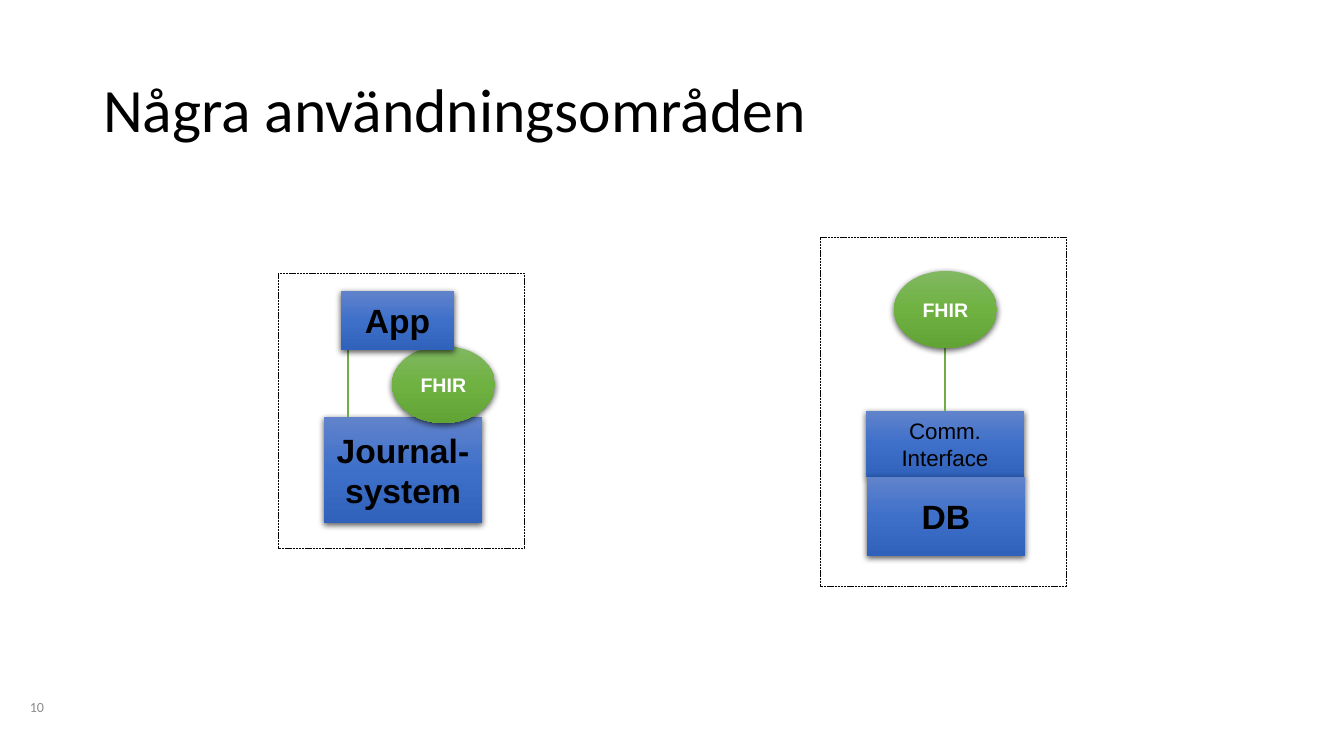
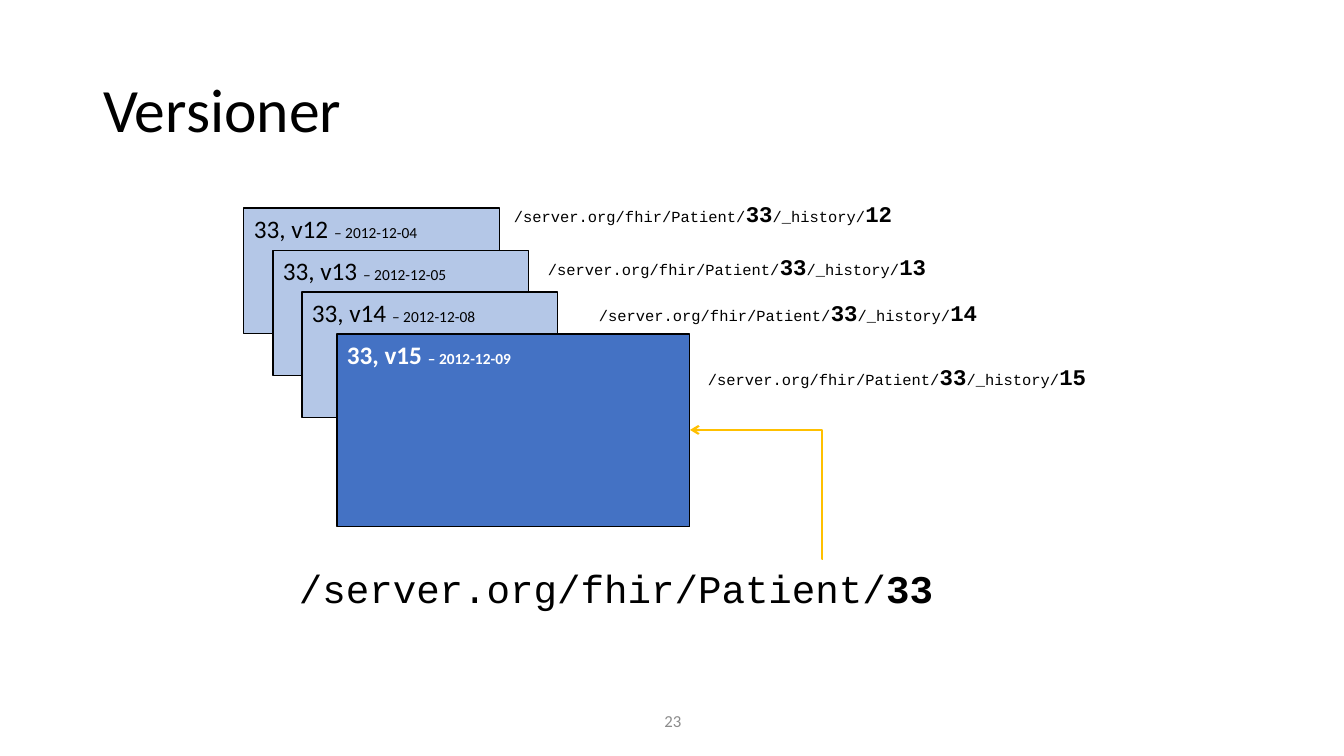
import pptx
import pptx.dml.color
import pptx.enum.dml
import pptx.enum.shapes
import pptx.enum.text
import pptx.oxml.ns
import pptx.util
from lxml import etree

EMU_PER_PX = 914400 / 100.8
COLORS = {
    "text": "000000",
    "light_text": "FFFFFF",
    "page_number": "8C8C8C",
    "green_line": "70AD47",
    "old_version": "B4C7E7",
    "current_version": "4472C4",
    "arrow": "FFC000",
}
GRADIENTS = {
    "blue": ("6183CB", "3E70CA", "3062BB"),
    "green": ("81B861", "6FB242", "62A336"),
}
SHAPES = pptx.enum.shapes.MSO_SHAPE
CONNECTORS = pptx.enum.shapes.MSO_CONNECTOR
ALIGN = pptx.enum.text.PP_ALIGN
ANCHOR = pptx.enum.text.MSO_ANCHOR
qn = pptx.oxml.ns.qn


def px(*lengths):
    return [pptx.util.Emu(round(length * EMU_PER_PX)) for length in lengths]


def rgb(name):
    return pptx.dml.color.RGBColor.from_string(COLORS[name])


def add_xml(parent, tag, **attributes):
    return etree.SubElement(parent, qn(tag), attributes)


def write(frame, *lines, size=18, font="Calibri", color="text", bold=False,
          align=ALIGN.LEFT, anchor=ANCHOR.TOP, spacing=None):
    """Each line is a string or a list of (text, size, bold) runs."""
    frame.word_wrap = True
    frame.vertical_anchor = anchor
    for index, line in enumerate(lines):
        paragraph = frame.add_paragraph() if index else frame.paragraphs[0]
        paragraph.alignment = align
        if spacing:
            paragraph.line_spacing = spacing
        runs = [(line, size, bold)] if isinstance(line, str) else line
        for text, run_size, run_bold in runs:
            run = paragraph.add_run()
            run.text = text
            run.font.size = pptx.util.Pt(run_size)
            run.font.name = font
            run.font.bold = run_bold
            run.font.color.rgb = rgb(color)


def add_text(slide, box, *lines, **text_format):
    write(slide.shapes.add_textbox(*px(*box)).text_frame, *lines, **text_format)


def add_slide(deck, title, number, number_box, **number_format):
    slide = deck.slides.add_slide(deck.slide_layouts[5])
    heading = slide.shapes.title
    heading.left, heading.top, heading.width, heading.height = px(93, 40, 1159, 146)
    write(heading.text_frame, title, size=44, anchor=ANCHOR.MIDDLE, spacing=0.9)
    add_text(slide, number_box, number, color="page_number",
             anchor=ANCHOR.MIDDLE, **number_format)
    return slide


def add_outlined(slide, box, width, fill=None):
    rectangle = slide.shapes.add_shape(SHAPES.RECTANGLE, *px(*box))
    rectangle.shadow.inherit = False
    if fill:
        rectangle.fill.solid()
        rectangle.fill.fore_color.rgb = rgb(fill)
    else:
        rectangle.fill.background()
    rectangle.line.color.rgb = rgb("text")
    rectangle.line.width = pptx.util.Pt(width)
    return rectangle


def add_system_frame(slide, box):
    frame = add_outlined(slide, box, 0.5)
    frame.line.dash_style = pptx.enum.dml.MSO_LINE.SQUARE_DOT


def add_component(slide, box, *lines, kind=SHAPES.RECTANGLE, gradient="blue",
                  **text_format):
    """Shape with a vertical gradient, a soft shadow and centred text."""
    component = slide.shapes.add_shape(kind, *px(*box))
    component.line.fill.background()
    component.fill.gradient()
    component.fill.gradient_angle = 270
    properties = component._element.spPr
    stops = properties.find(".//" + qn("a:gsLst"))
    for stop in list(stops):
        stops.remove(stop)
    for position, color in zip((0, 50000, 100000), GRADIENTS[gradient]):
        add_xml(add_xml(stops, "a:gs", pos=str(position)), "a:srgbClr", val=color)
    component.shadow.inherit = False
    shadow = add_xml(properties.find(qn("a:effectLst")), "a:outerShdw",
                     blurRad="57150", dist="19050", dir="5400000",
                     algn="ctr", rotWithShape="0")
    add_xml(add_xml(shadow, "a:srgbClr", val="000000"), "a:alpha", val="63000")
    write(component.text_frame, *lines, font="Arial", align=ALIGN.CENTER,
          anchor=ANCHOR.MIDDLE, **text_format)


def add_fhir(slide, left, top):
    add_component(slide, (left, top, 103, 77), "FHIR", kind=SHAPES.OVAL,
                  gradient="green", size=14, color="light_text", bold=True)


def add_line(slide, start, end, color, kind=CONNECTORS.STRAIGHT):
    line = slide.shapes.add_connector(kind, *px(*start, *end))
    line.line.color.rgb = rgb(color)
    line.line.width = pptx.util.Pt(1.5)
    add_xml(line._element.spPr, "a:effectLst")
    return line


def add_journal_system(slide, left, top):
    add_component(slide, (left + 46, top + 144, 158, 106), "Journal-", "system",
                  size=24, bold=True)
    add_line(slide, (left + 70, top + 144), (left + 70, top + 73), "green_line")
    add_system_frame(slide, (left, top, 246, 275))
    add_fhir(slide, left + 114, top + 73)
    add_component(slide, (left + 63, top + 18, 113, 59), "App", size=24, bold=True)


def add_database_system(slide, left, top):
    add_system_frame(slide, (left, top, 246, 349))
    add_component(slide, (left + 46, top + 174, 158, 66), "Comm.", "Interface", size=16)
    add_component(slide, (left + 47, top + 240, 158, 79), "DB", size=24, bold=True)
    add_line(slide, (left + 125, top + 174), (left + 125, top + 111), "green_line")
    add_fhir(slide, left + 74, top + 34)


def add_version_card(slide, box, version, date, fill, color="text", bold=False):
    card = add_outlined(slide, box, 0.75, fill)
    write(card.text_frame, [(f"33, v{version} ", 18, bold), (f"– {date}", 11, bold)],
          color=color)


def add_version_stack(slide, left, top):
    for step, date in enumerate(("2012-12-04", "2012-12-05", "2012-12-08")):
        box = (left + 29 * step, top + 42 * step, 256, 126)
        add_version_card(slide, box, 12 + step, date, "old_version")
    add_version_card(slide, (left + 93, top + 126, 353, 193), 15, "2012-12-09",
                     "current_version", color="light_text", bold=True)


def add_history_addresses(slide, left, top):
    offsets = ((0, 0), (34, 53), (85, 99), (194, 163))
    for version, (across, down) in enumerate(offsets, start=12):
        add_text(slide, (left + across, top + down, 479, 37),
                 [("/server.org/fhir/Patient/", 11, False), ("33", 16, True),
                  ("/_history/", 11, False), (str(version), 16, True)],
                 font="Courier New")


def add_current_address(slide, left, top):
    """Address of the patient, with an arrow up to the current version."""
    add_text(slide, (left, top, 694, 57),
             [("/server.org/fhir/Patient/", 28, False), ("33", 28, True)],
             font="Courier New")
    arrow = add_line(slide, (left + 534, top), (left + 401, top - 129), "arrow",
                     CONNECTORS.ELBOW)
    properties = arrow._element.spPr
    add_xml(properties.find(".//" + qn("a:avLst")), "a:gd", name="adj1", fmla="val 800")
    add_xml(properties.find(qn("a:ln")), "a:tailEnd", type="arrow")


def main():
    deck = pptx.Presentation()
    deck.slide_width, deck.slide_height = px(1344, 756)

    uses = add_slide(deck, "Några användningsområden", "10", (20, 695, 80, 24), size=10)
    add_journal_system(uses, 278, 273)
    add_database_system(uses, 820, 237)

    versions = add_slide(deck, "Versioner", "23", (446, 701, 454, 40), size=12,
                         align=ALIGN.CENTER)
    add_version_stack(versions, 244, 208)
    add_history_addresses(versions, 504, 195)
    add_current_address(versions, 289, 559)

    deck.save("out.pptx")


if __name__ == "__main__":
    main()
